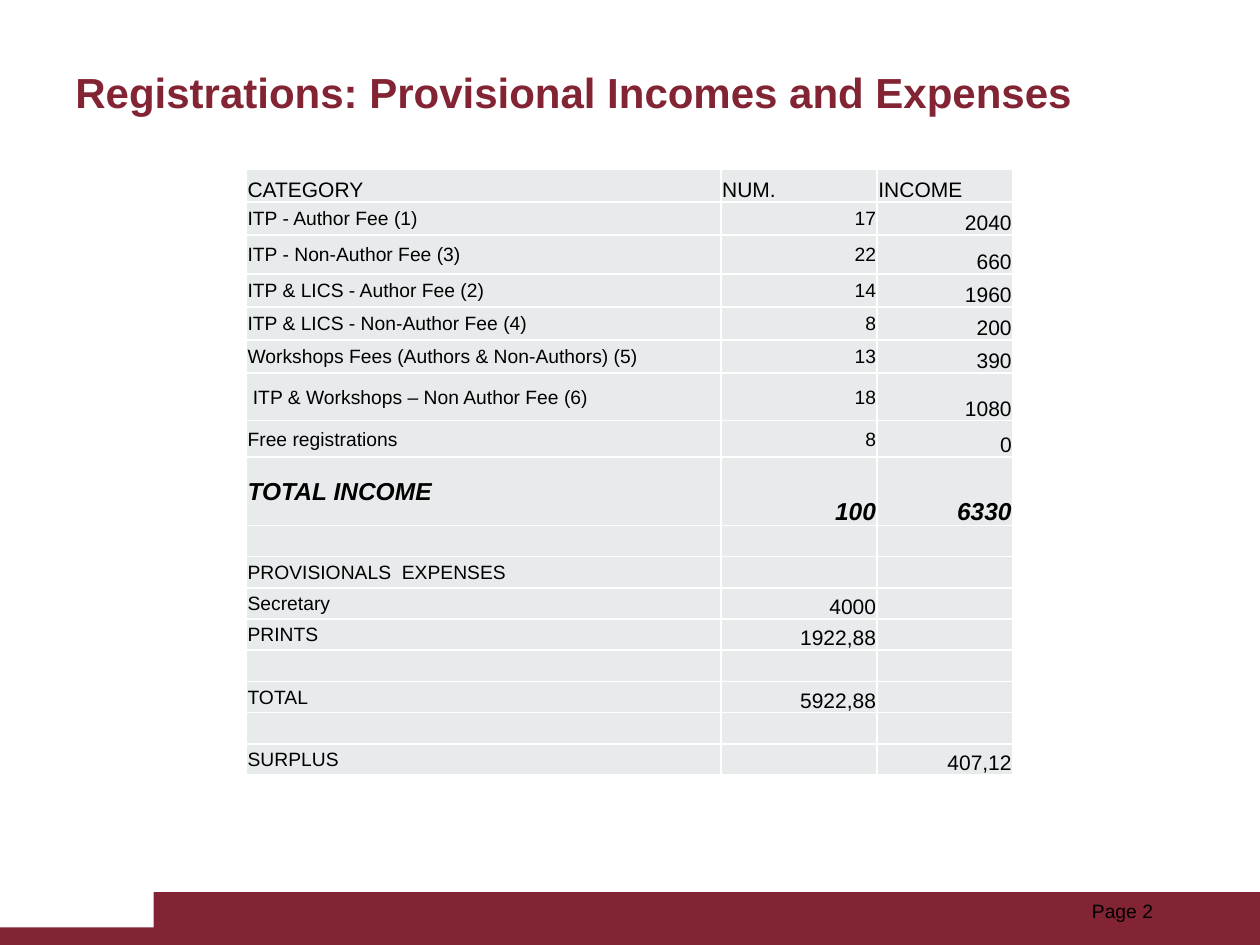
from lxml.etree import SubElement
from pptx import Presentation
from pptx.dml.color import RGBColor
from pptx.enum.shapes import MSO_SHAPE as SHAPE
from pptx.enum.text import MSO_ANCHOR as ANCHOR, PP_ALIGN as ALIGN
from pptx.oxml.ns import qn
from pptx.util import Pt

COLORS = {"brand": "822433", "cell": "E7EBEC", "border": "FFFFFF", "text": "000000"}
FONT = "Arial"

# Text formats
TITLE = {"size": Pt(24), "bold": True}
HEADER = {"size": Pt(12)}
LABEL = {"size": Pt(11)}
AMOUNT = {"size": Pt(12)}
TOTAL = {"size": Pt(14), "bold": True, "italic": True}

COL_WIDTHS = [271.2, 89.3, 77.5]
# Label, number, income, row height
HEADINGS = ("CATEGORY", "NUM.", "INCOME", 18.9)
INCOMES = [
    ("ITP - Author Fee (1)", "17", "2040", 18.9),
    ("ITP - Non-Author Fee (3)", "22", "660", 22.2),
    ("ITP & LICS - Author Fee (2)", "14", "1960", 18.9),
    ("ITP & LICS - Non-Author Fee (4)", "8", "200", 18.9),
    ("Workshops Fees (Authors & Non-Authors) (5)", "13", "390", 19.1),
    (" ITP & Workshops – Non Author Fee (6)", "18", "1080", 27),
    ("Free registrations", "8", "0", 21),
]
TOTAL_INCOME = ("TOTAL INCOME", "100", "6330", 39)
EXPENSE_HEIGHT = 17.85
EXPENSES = [
    ("", "", ""),
    ("PROVISIONALS  EXPENSES", "", ""),
    ("Secretary", "4000", ""),
    ("PRINTS", "1922,88", ""),
    ("", "", ""),
    ("TOTAL", "5922,88", ""),
    ("", "", ""),
    ("SURPLUS", "", "407,12"),
]


def rgb(name):
    return RGBColor.from_string(COLORS[name])


def write(tf, text, fmt, align=ALIGN.LEFT, color="text"):
    p = tf.paragraphs[0]
    p.alignment = align
    if not text:
        # An empty cell still needs a small size to keep its row low
        p._p.get_or_add_endParaRPr().set("sz", str(int(fmt["size"].pt * 100)))
        return
    r = p.add_run()
    r.text = text
    r.font.name = FONT
    r.font.color.rgb = rgb(color)
    for key, value in fmt.items():
        setattr(r.font, key, value)


def add_band(s, *box):
    sp = s.shapes.add_shape(SHAPE.RECTANGLE, *map(Pt, box))
    sp.shadow.inherit = False
    sp.fill.solid()
    sp.fill.fore_color.rgb = rgb("brand")
    sp.line.fill.background()


def add_text(s, box, text, fmt, align=ALIGN.LEFT, color="text"):
    tf = s.shapes.add_textbox(*map(Pt, box)).text_frame
    tf.word_wrap = True
    tf.vertical_anchor = ANCHOR.MIDDLE
    write(tf, text, fmt, align, color)


def add_borders(cell):
    tcPr = cell._tc.get_or_add_tcPr()
    for i, side in enumerate(("lnL", "lnR", "lnT", "lnB")):
        ln = SubElement(tcPr, qn("a:" + side), w=str(Pt(1)))
        fill = SubElement(ln, qn("a:solidFill"))
        SubElement(fill, qn("a:srgbClr"), val=COLORS["border"])
        tcPr.insert(i, ln)  # borders come before the fill


def fill_cell(cell, text, fmt, align, anchor):
    cell.fill.solid()
    cell.fill.fore_color.rgb = rgb("cell")
    margins = {"margin_left": 0.7, "margin_right": 0.7, "margin_top": 0.7, "margin_bottom": 0}
    for key, value in margins.items():
        setattr(cell, key, Pt(value))
    cell.vertical_anchor = anchor
    write(cell.text_frame, text, fmt, align)
    add_borders(cell)


def add_budget(s, left, top):
    label = (LABEL, ALIGN.LEFT, ANCHOR.MIDDLE)
    count = (LABEL, ALIGN.RIGHT, ANCHOR.MIDDLE)
    amount = (AMOUNT, ALIGN.RIGHT, ANCHOR.BOTTOM)
    total = (TOTAL, ALIGN.RIGHT, ANCHOR.BOTTOM)

    # Each row with the styles of its three cells
    rows = [(HEADINGS, [(HEADER, ALIGN.LEFT, ANCHOR.BOTTOM)] * 3)]
    rows += [(row, [label, count, amount]) for row in INCOMES]
    rows += [(TOTAL_INCOME, [(TOTAL, ALIGN.LEFT, ANCHOR.MIDDLE), total, total])]
    rows += [((*row, EXPENSE_HEIGHT), [label, amount, amount]) for row in EXPENSES]

    height = sum(row[-1] for row, _ in rows)
    box = map(Pt, (left, top, sum(COL_WIDTHS), height))
    table = s.shapes.add_table(len(rows), len(COL_WIDTHS), *box).table
    for column, width in zip(table.columns, COL_WIDTHS):
        column.width = Pt(width)
    for i, ((*texts, row_height), styles) in enumerate(rows):
        table.rows[i].height = Pt(row_height)
        for j, (text, style) in enumerate(zip(texts, styles)):
            fill_cell(table.cell(i, j), text, *style)


def main():
    prs = Presentation()
    prs.slide_width, prs.slide_height = Pt(720), Pt(540)
    s = prs.slides.add_slide(prs.slide_layouts[6])

    # Footer bands
    add_band(s, 0, 529.9, 720, 10.1)
    add_band(s, 87.8, 509.8, 632.2, 30.2)

    # Title and page number
    add_text(s, (36, 32.4, 647.3, 39.6), "Registrations: Provisional Incomes and Expenses",
             TITLE, color="brand")
    add_text(s, (516.2, 510.4, 149.8, 20.2), "Page 2", LABEL, ALIGN.RIGHT)

    # Incomes and expenses
    add_budget(s, 140.8, 96.5)

    prs.save("out.pptx")


if __name__ == "__main__":
    main()
